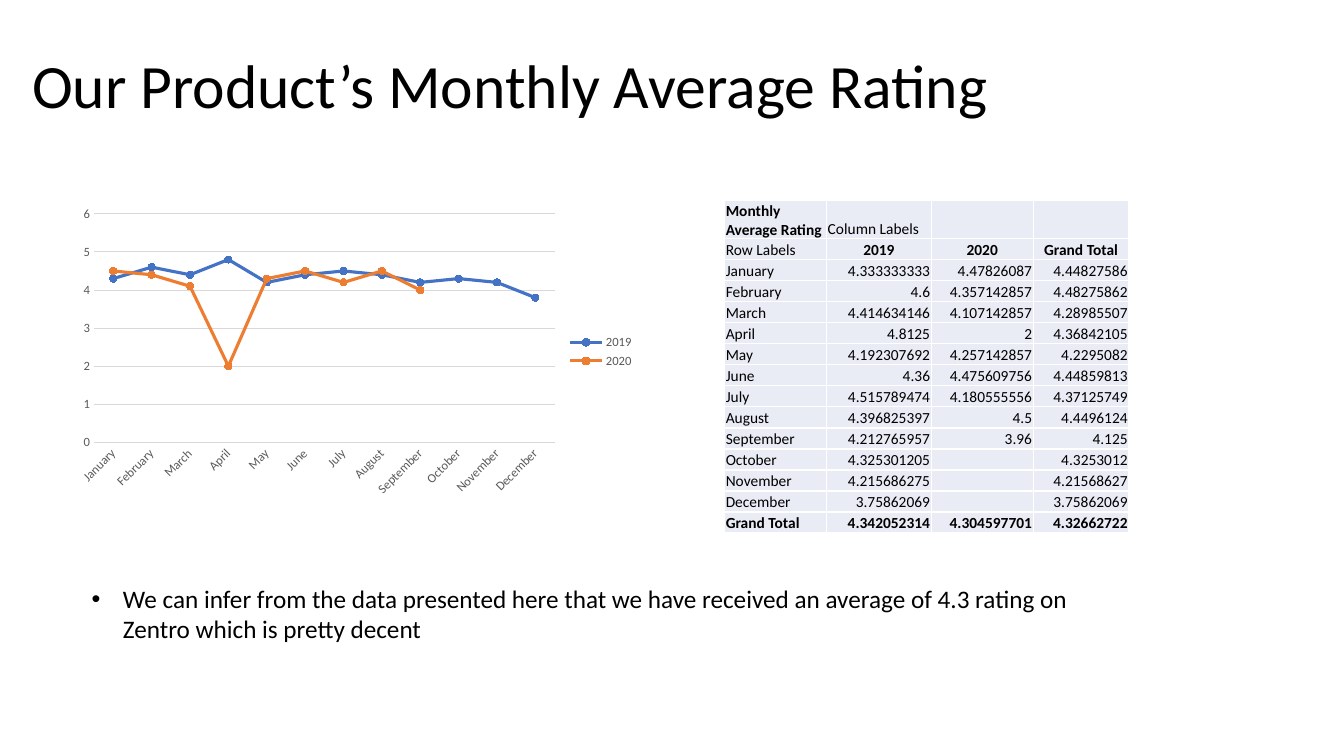
import pptx
import pptx.chart.data
import pptx.dml.color
import pptx.enum.chart
import pptx.enum.text
import pptx.oxml.ns
import pptx.util
import lxml.etree

Cm = pptx.util.Cm
Pt = pptx.util.Pt
Align = pptx.enum.text.PP_ALIGN
Anchor = pptx.enum.text.MSO_ANCHOR
tag = pptx.oxml.ns.qn


class Theme:
    font = "Calibri"
    black, gray, grid = "000000", "595959", "D9D9D9"
    cell, edge = "E9EBF5", "FFFFFF"
    lines = ["4472C4", "ED7D31"]
    title, body, table, chart, label = 44, 18, 11, 10, 9


MONTHS = ["January", "February", "March", "April", "May", "June", "July",
          "August", "September", "October", "November", "December"]
RATES = {
    "2019": ["4.333333333", "4.6", "4.414634146", "4.8125", "4.192307692", "4.36",
             "4.515789474", "4.396825397", "4.212765957", "4.325301205",
             "4.215686275", "3.75862069"],
    "2020": ["4.47826087", "4.357142857", "4.107142857", "2", "4.257142857",
             "4.475609756", "4.180555556", "4.5", "3.96", "", "", ""],
}
TOTALS = ["4.44827586", "4.48275862", "4.28985507", "4.36842105", "4.2295082",
          "4.44859813", "4.37125749", "4.4496124", "4.125", "4.3253012",
          "4.21568627", "3.75862069"]


def paint(code):
    return pptx.dml.color.RGBColor.from_string(code)


class Page:
    def __init__(self, slide, theme):
        self.slide = slide
        self.theme = theme

    def style(self, font, size, color, bold=False):
        font.name, font.size, font.bold = self.theme.font, Pt(size), bold
        font.color.rgb = paint(color)

    def add_run(self, para, text, size, bold=False):
        run = para.add_run()
        run.text = text
        self.style(run.font, size, self.theme.black, bold)

    def text(self, box, words, size, anchor=Anchor.TOP):
        frame = self.slide.shapes.add_textbox(*map(Cm, box)).text_frame
        frame.word_wrap = True
        frame.vertical_anchor = anchor
        para = frame.paragraphs[0]
        self.add_run(para, words, size)
        return para

    def bullet(self, box, words, size):
        props = self.text(box, words, size)._p.get_or_add_pPr()
        props.set("marL", str(Cm(0.79)))
        props.set("indent", str(-Cm(0.79)))
        lxml.etree.SubElement(props, tag("a:buFont"), typeface="Arial")
        lxml.etree.SubElement(props, tag("a:buChar"), char="•")

    def chart(self, box, months, rates):
        theme = self.theme
        data = pptx.chart.data.CategoryChartData()
        data.categories = months
        for year, vals in rates.items():
            data.add_series(year, [round(float(v), 1) if v else None for v in vals])
        kind = pptx.enum.chart.XL_CHART_TYPE.LINE_MARKERS
        chart = self.slide.shapes.add_chart(kind, *map(Cm, box), data).chart
        chart.has_title = False
        self.style(chart.font, theme.chart, theme.black)

        # Legend
        chart.has_legend = True
        chart.legend.position = pptx.enum.chart.XL_LEGEND_POSITION.RIGHT
        chart.legend.include_in_layout = False
        self.style(chart.legend.font, theme.label, theme.gray)

        # Axes
        months_axis, rate_axis = chart.category_axis, chart.value_axis
        for axis in (months_axis, rate_axis):
            axis.major_tick_mark = pptx.enum.chart.XL_TICK_MARK.NONE
            axis.minor_tick_mark = pptx.enum.chart.XL_TICK_MARK.NONE
            self.style(axis.tick_labels.font, theme.label, theme.gray)
        rate_axis.minimum_scale, rate_axis.maximum_scale = 0, 6
        rate_axis.major_unit = 1
        rate_axis.format.line.fill.background()
        for line in (months_axis.format.line, rate_axis.major_gridlines.format.line):
            line.color.rgb = paint(theme.grid)
            line.width = Pt(0.75)
        months_axis._element.txPr.find(tag("a:bodyPr")).set("rot", "-2700000")

        # Lines and markers
        chart.plots[0].vary_by_categories = False
        for row, code in zip(chart.plots[0].series, theme.lines):
            row.smooth = False
            row.format.line.color.rgb = paint(code)
            row.format.line.width = Pt(2.25)
            mark = row.marker
            mark.style = pptx.enum.chart.XL_MARKER_STYLE.CIRCLE
            mark.size = 5
            mark.format.fill.solid()
            mark.format.fill.fore_color.rgb = paint(code)
            mark.format.line.color.rgb = paint(code)

    def border(self, cell):
        props = cell._tc.get_or_add_tcPr()
        for side in ("lnL", "lnR", "lnT", "lnB"):
            line = lxml.etree.SubElement(props, tag("a:" + side), w=str(Pt(1)))
            fill = lxml.etree.SubElement(line, tag("a:solidFill"))
            lxml.etree.SubElement(fill, tag("a:srgbClr"), val=self.theme.edge)

    def cell(self, cell, text, align, bold):
        self.border(cell)
        cell.fill.solid()
        cell.fill.fore_color.rgb = paint(self.theme.cell)
        cell.margin_left = cell.margin_right = cell.margin_top = Cm(0.03)
        cell.margin_bottom = 0
        cell.vertical_anchor = Anchor.BOTTOM
        para = cell.text_frame.paragraphs[0]
        para.alignment = align
        if text:
            self.add_run(para, text, self.theme.table, bold)
        else:
            # An empty cell keeps the row low
            lxml.etree.SubElement(para._p, tag("a:endParaRPr"),
                                  sz=str(self.theme.table * 100))

    def table(self, left, top, widths, height, rows):
        table = self.slide.shapes.add_table(
            len(rows), len(widths), Cm(left), Cm(top),
            Cm(sum(widths)), Cm(height * len(rows))).table
        table.first_row = table.horz_banding = False
        for col, width in zip(table.columns, widths):
            col.width = Cm(width)
        last = len(rows) - 1
        for r, row in enumerate(rows):
            table.rows[r].height = Cm(height)
            for c, text in enumerate(row):
                align = Align.LEFT
                if r and c:
                    align = Align.CENTER if r == 1 else Align.RIGHT
                bold = r == last or (r == 0 and c == 0) or (r == 1 and c > 0)
                self.cell(table.cell(r, c), text, align, bold)


def main():
    deck = pptx.Presentation()
    deck.slide_width, deck.slide_height = Cm(33.87), Cm(19.05)
    theme = Theme()
    page = Page(deck.slides.add_slide(deck.slide_layouts[6]), theme)

    # Title
    title = page.text((0.56, 0.38, 29.21, 3.68), "Our Product’s Monthly Average Rating",
                      theme.title, Anchor.MIDDLE)
    title.line_spacing = 0.9

    # Line chart of both years
    page.chart((1.73, 5.05, 14.5, 7.62), MONTHS, RATES)

    # Rating table
    rows = [["Monthly Average Rating", "Column Labels", "", ""],
            ["Row Labels", *RATES, "Grand Total"],
            *zip(MONTHS, *RATES.values(), TOTALS),
            ["Grand Total", "4.342052314", "4.304597701", "4.32662722"]]
    page.table(18.26, 5.05, [2.57, 2.64, 2.57, 2.41], 0.53, rows)

    # Finding
    page.bullet((2.06, 14.58, 26.31, 1.8),
                "We can infer from the data presented here that we have received "
                "an average of 4.3 rating on Zentro which is pretty decent", theme.body)

    deck.save("out.pptx")


if __name__ == "__main__":
    main()
